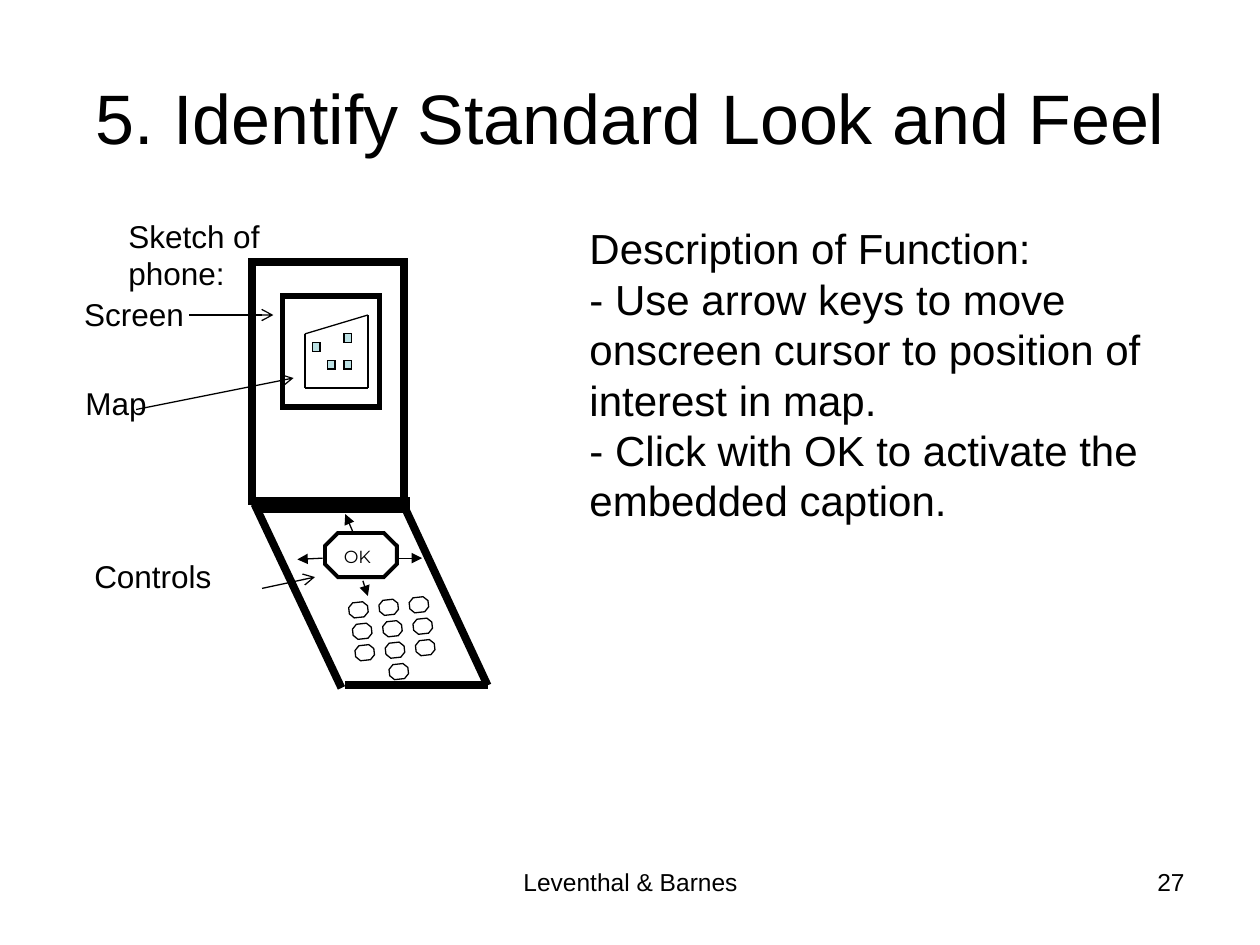
from lxml.etree import SubElement
from pptx import Presentation
from pptx.dml.color import RGBColor
from pptx.enum.shapes import MSO_CONNECTOR as Connector, MSO_SHAPE as Shape
from pptx.enum.text import MSO_ANCHOR as Anchor, MSO_AUTO_SIZE as AutoSize, PP_ALIGN as Align
from pptx.oxml.ns import qn
from pptx.util import Emu, Pt

PX = 9144
COLOURS = {"ink": "000000", "paper": "FFFFFF", "marker": "BBE0E3"}


def px(*lengths):
    return [Emu(length * PX) for length in lengths]


def colour(name):
    return RGBColor.from_string(COLOURS[name])


class Sketch:
    font = "Arial"
    thin, medium, bold, heavy = 0.75, 2.25, 3, 4.5

    def __init__(self, page):
        self.page = page
        self.shapes = page.shapes

    def start_group(self):
        self.shapes = self.page.shapes.add_group_shape().shapes

    def end_group(self):
        self.shapes = self.page.shapes

    def set_text(self, item, lines, size, align=Align.LEFT, anchor=Anchor.TOP, font=None):
        frame = item.text_frame
        frame.text = "\n".join(lines)
        frame.vertical_anchor = anchor
        for para in frame.paragraphs:
            para.alignment = align
            for span in para.runs:
                span.font.name = font or self.font
                span.font.size = Pt(size)
                span.font.color.rgb = colour("ink")

    def text(self, place, lines, size, wrap=True, **style):
        box = self.shapes.add_textbox(*px(*place))
        box.text_frame.word_wrap = wrap
        self.set_text(box, lines, size, **style)
        return box

    def label(self, place, words, wrap=False):
        box = self.text(place, [words], 18, wrap)
        box.text_frame.auto_size = AutoSize.SHAPE_TO_FIT_TEXT

    def outline(self, kind, place, width, fill="paper", turn=0):
        shape = self.shapes.add_shape(kind, *px(*place))
        shape.shadow.inherit = False
        shape.fill.solid()
        shape.fill.fore_color.rgb = colour(fill)
        shape.line.color.rgb = colour("ink")
        shape.line.width = Pt(width)
        SubElement(shape.line._get_or_add_ln(), qn("a:miter"), lim="800000")
        shape.rotation = turn
        return shape

    def panel(self, place, lines, size):
        shape = self.outline(Shape.RECTANGLE, place, self.thin)
        shape.line.fill.background()
        self.set_text(shape, lines, size)

    def line(self, start, end, width=thin, head=None):
        stroke = self.shapes.add_connector(Connector.STRAIGHT, *px(*start, *end))
        stroke.line.color.rgb = colour("ink")
        stroke.line.width = Pt(width)
        if head:
            SubElement(stroke.line._get_or_add_ln(), qn("a:tailEnd"), type=head)
        SubElement(stroke._element.spPr, qn("a:effectLst"))


def draw_phone(sketch):
    sketch.outline(Shape.RECTANGLE, (200, 208, 121, 190), sketch.heavy)
    sketch.outline(Shape.RECTANGLE, (224, 235, 77, 88), sketch.bold)
    for start, end in [((202, 400), (271, 546)), ((319, 398), (387, 544)),
                       ((274, 544), (387, 544))]:
        sketch.line(start, end, sketch.heavy)
    sketch.outline(Shape.RECTANGLE, (207, 398, 115, 6), sketch.heavy)


def draw_keys(sketch):
    ok_key = sketch.outline(Shape.OCTAGON, (258, 423, 57, 35), sketch.medium)
    sketch.set_text(ok_key, ["OK"], 10, font="Montserrat")
    for start, end in [((280, 422), (274, 408)), ((315, 443), (335, 443)),
                       ((256, 443), (236, 444)), ((288, 461), (292, 473))]:
        sketch.line(start, end, head="triangle")
    sketch.start_group()
    keys = [(row, column) for row in range(3) for column in range(3)] + [(3, 1)]
    for row, column in keys:
        left = 277 + 24 * column + (5 * row + 1) // 2
        top = 478 - 2 * column + 17 * row
        sketch.outline(Shape.OCTAGON, (left, top, 15, 12), sketch.thin, turn=353.7)
    sketch.end_group()


def draw_map(sketch):
    sketch.start_group()
    corners = [(242, 308), (242, 265), (292, 250), (292, 308)]
    for start, end in zip(corners, corners[1:] + corners[:1]):
        sketch.line(start, end)
    for left, top in [(248, 272), (273, 265), (260, 286), (273, 286)]:
        sketch.outline(Shape.RECTANGLE, (left, top, 6, 7), sketch.thin, "marker")
    sketch.end_group()


def main():
    deck = Presentation()
    deck.slide_width, deck.slide_height = px(1000, 750)
    sketch = Sketch(deck.slides.add_slide(deck.slide_layouts[6]))

    sketch.text((50, 30, 900, 125), ["5. Identify Standard Look and Feel"], 40,
                align=Align.CENTER, anchor=Anchor.MIDDLE)
    draw_phone(sketch)
    draw_keys(sketch)
    sketch.panel((458, 172, 475, 428), [
        "Description of Function:",
        "- Use arrow keys to move onscreen cursor to position of interest in map.",
        "- Click with OK to activate the embedded caption.",
    ], 24)
    sketch.label((92, 167, 207, 40), "Sketch of phone:")
    draw_map(sketch)

    sketch.label((57, 229, 99, 40), "Screen")
    sketch.label((58, 300, 108, 40), "Map", wrap=True)
    sketch.label((65, 437, 113, 40), "Controls")
    for start, end in [((150, 250), (217, 250)), ((108, 325), (233, 300)),
                       ((208, 467), (250, 458))]:
        sketch.line(start, end, head="arrow")

    sketch.text((342, 683, 317, 52), ["Leventhal & Barnes"], 14, align=Align.CENTER)
    sketch.text((717, 683, 233, 52), ["27"], 14, align=Align.RIGHT)
    deck.save("out.pptx")


if __name__ == "__main__":
    main()
